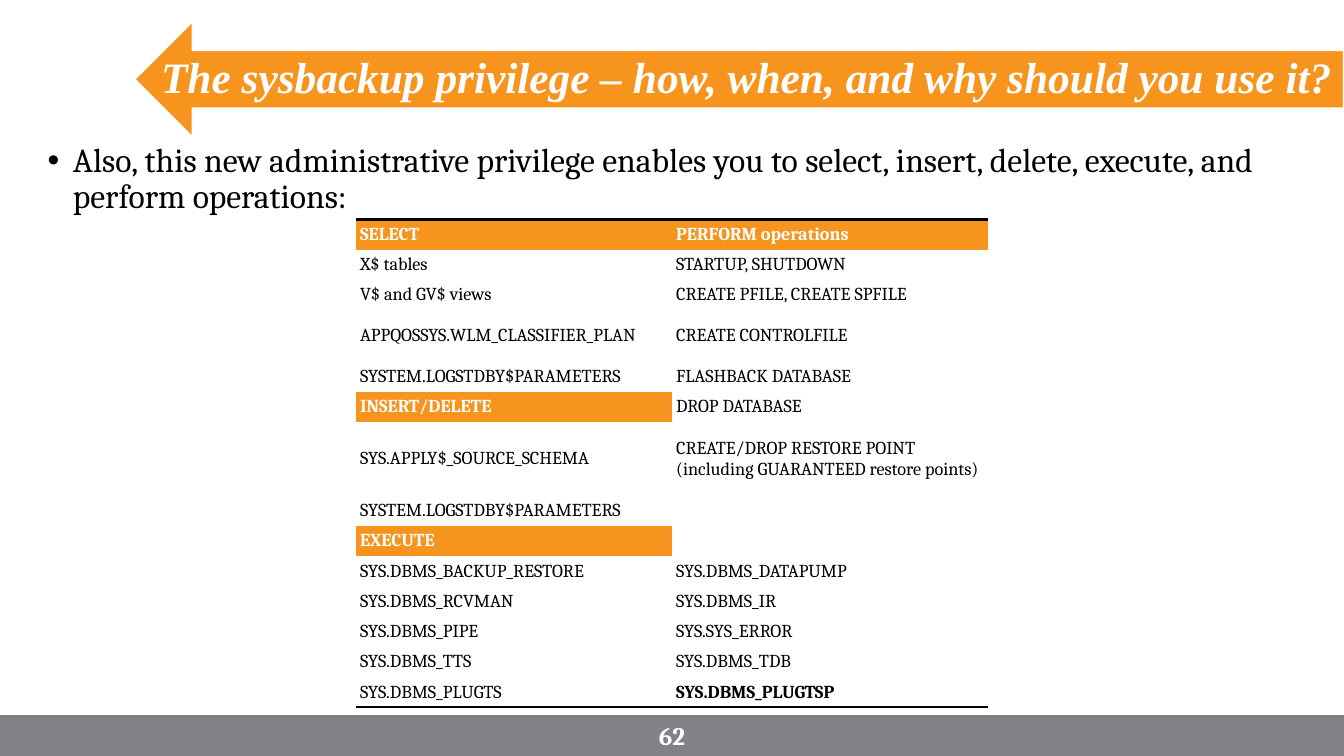
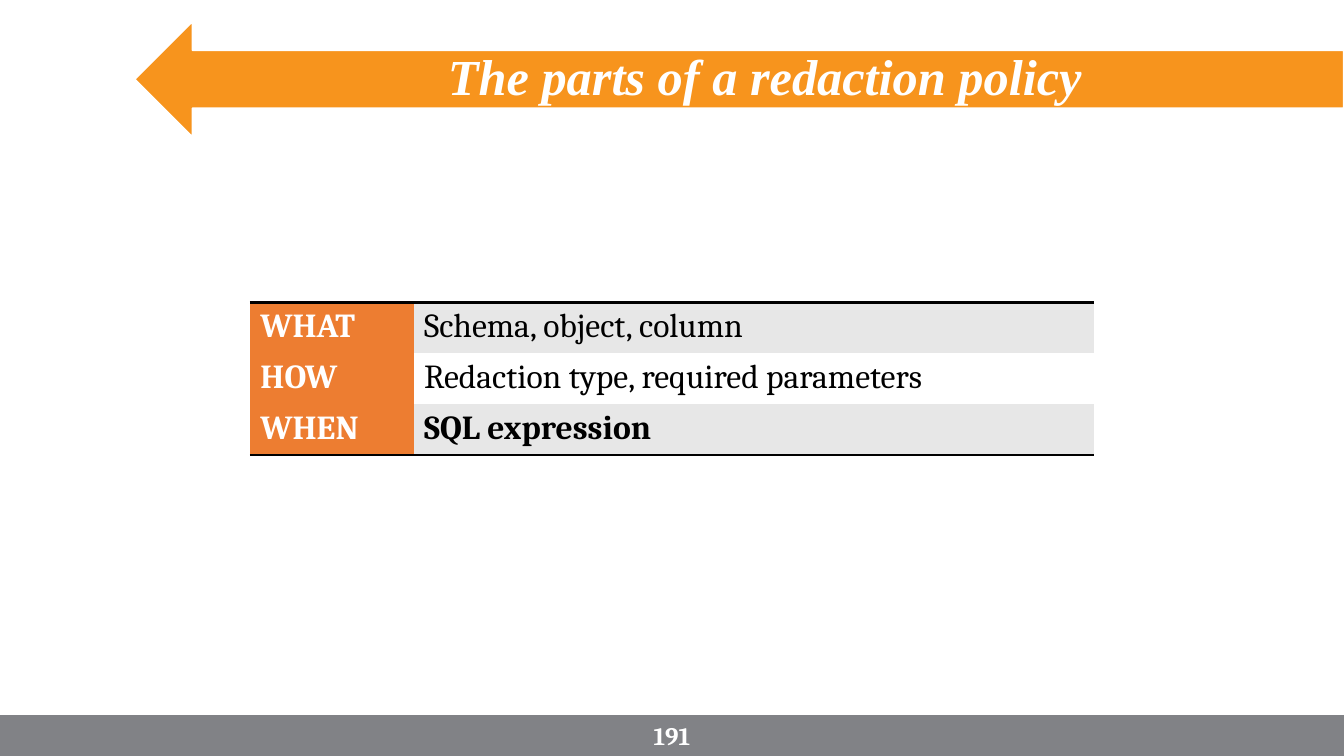
import dataclasses
import typing

import lxml.etree
import pptx
import pptx.dml.color
import pptx.enum.shapes
import pptx.enum.text
import pptx.oxml.ns
import pptx.util

SCALE = 9525  # EMU in one px, 96 px to the inch
WIDE, HIGH = 1280, 720
ORANGE, RUST, GRAY, PALE = "F7941D", "ED7D31", "818286", "E7E7E7"
WHITE, BLACK = "FFFFFF", "000000"
PLAIN_GRID = "{2D5ABB26-0587-4C30-8999-92F81FD0307C}"
KIND = pptx.enum.shapes.MSO_SHAPE
ALIGN = pptx.enum.text.PP_ALIGN
ANCHOR = pptx.enum.text.MSO_ANCHOR


@dataclasses.dataclass(frozen=True)
class Box:
    left: int
    top: int
    width: int
    height: int

    def emu(self) -> tuple[int, ...]:
        return tuple(px(n) for n in dataclasses.astuple(self))


@dataclasses.dataclass(frozen=True)
class Style:
    size: int
    color: str = WHITE
    bold: bool = True
    slant: bool = False
    font: str = "Cambria"


@dataclasses.dataclass(frozen=True)
class Cell:
    text: str
    fill: str = WHITE
    color: str = BLACK
    bold: bool = False


@dataclasses.dataclass(frozen=True)
class Grid:
    left: int
    top: int
    cols: tuple[int, ...]
    rows: tuple[int, ...]
    cells: list[tuple[Cell, Cell]]
    size: int
    pad: tuple[int, int]
    anchor: typing.Any


def px(count: int) -> int:
    return pptx.util.Emu(count * SCALE)


def rgb(code: str) -> pptx.dml.color.RGBColor:
    return pptx.dml.color.RGBColor.from_string(code)


def node(parent, tag: str, **attrs: str):
    return lxml.etree.SubElement(parent, pptx.oxml.ns.qn(tag), attrs)


def add_run(para, text: str, style: Style) -> None:
    run = para.add_run()
    run.text = text
    font = run.font
    font.name, font.size = style.font, pptx.util.Pt(style.size)
    font.bold, font.italic = style.bold, style.slant
    font.color.rgb = rgb(style.color)


def add_text(slide, box: Box, text: str, style: Style, anchor=ANCHOR.MIDDLE):
    """Add a wrapped text box and return its paragraph."""
    frame = slide.shapes.add_textbox(*box.emu()).text_frame
    frame.word_wrap = True
    frame.vertical_anchor = anchor
    para = frame.paragraphs[0]
    para.alignment = ALIGN.CENTER
    add_run(para, text, style)
    return para


def add_band(slide, kind, box: Box, fill: str, edge: str | None = None) -> None:
    shape = slide.shapes.add_shape(kind, *box.emu())
    shape.shadow.inherit = False
    shape.fill.solid()
    shape.fill.fore_color.rgb = rgb(fill)
    if edge:
        shape.line.color.rgb = rgb(edge)
        shape.line.width = pptx.util.Pt(1.5)
    else:
        shape.line.fill.background()


def add_slide(deck, title: str, size: int, left: int, page: str):
    """Add a slide with the arrow, title, footer band and page number."""
    slide = deck.slides.add_slide(deck.slide_layouts[6])
    add_band(slide, KIND.LEFT_ARROW, Box(128, 20, 1152, 111), ORANGE, WHITE)
    add_band(slide, KIND.RECTANGLE, Box(0, 681, WIDE, 39), GRAY)
    style = Style(size, slant=True, font="Times New Roman")
    para = add_text(slide, Box(left, 41, 1139, 69), title, style)
    para.line_spacing = 0.9
    add_text(slide, Box(604, 681, 72, 38), page, Style(18))
    return slide


def add_point(slide, text: str) -> None:
    """Add the bulleted body text."""
    box = Box(36, 132, 1208, 457)
    para = add_text(slide, box, text, Style(24, BLACK, False), ANCHOR.TOP)
    para.alignment = ALIGN.LEFT
    para.line_spacing = 0.9
    props = para._p.get_or_add_pPr()
    props.set("marL", str(px(24)))
    props.set("indent", str(-px(24)))
    node(props, "a:buFont", typeface="Arial")
    node(props, "a:buChar", char="•")


def add_rule(cell, tag: str) -> None:
    """Draw a black rule on one side of a cell."""
    props = cell._tc.get_or_add_tcPr()
    line = node(props, tag, w=str(pptx.util.Pt(2)))
    node(node(line, "a:solidFill"), "a:srgbClr", val=BLACK)
    props.insert(0, line)


def fill_cell(cell, data: Cell, grid: Grid) -> None:
    cell.fill.solid()
    cell.fill.fore_color.rgb = rgb(data.fill)
    cell.vertical_anchor = grid.anchor
    side, edge = (px(n) for n in grid.pad)
    cell.margin_left = cell.margin_right = side
    cell.margin_top = cell.margin_bottom = edge
    para = cell.text_frame.paragraphs[0]
    if data.text:
        add_run(para, data.text, Style(grid.size, data.color, data.bold))
    else:
        node(para._p, "a:endParaRPr", sz=str(grid.size * 100))


def add_grid(slide, grid: Grid) -> None:
    box = Box(grid.left, grid.top, sum(grid.cols), sum(grid.rows))
    count = len(grid.rows)
    table = slide.shapes.add_table(count, len(grid.cols), *box.emu()).table
    table.first_row = table.horz_banding = False
    table._tbl.tblPr.find(pptx.oxml.ns.qn("a:tableStyleId")).text = PLAIN_GRID
    for col, width in zip(table.columns, grid.cols):
        col.width = px(width)
    for row, height, line in zip(table.rows, grid.rows, grid.cells):
        row.height = px(height)
        for cell, data in zip(row.cells, line):
            fill_cell(cell, data, grid)
    for col in range(len(grid.cols)):
        add_rule(table.cell(0, col), "a:lnT")
        add_rule(table.cell(count - 1, col), "a:lnB")


def head(text: str, fill: str = ORANGE) -> Cell:
    return Cell(text, fill, WHITE, True)


RIGHTS = [
    (head("SELECT"), head("PERFORM operations")),
    (Cell("X$ tables"), Cell("STARTUP, SHUTDOWN")),
    (Cell("V$ and GV$ views"), Cell("CREATE PFILE, CREATE SPFILE")),
    (Cell("APPQOSSYS.WLM_CLASSIFIER_PLAN"), Cell("CREATE CONTROLFILE")),
    (Cell("SYSTEM.LOGSTDBY$PARAMETERS"), Cell("FLASHBACK DATABASE")),
    (head("INSERT/DELETE"), Cell("DROP DATABASE")),
    (Cell("SYS.APPLY$_SOURCE_SCHEMA"),
     Cell("CREATE/DROP RESTORE POINT (including GUARANTEED restore points)")),
    (Cell("SYSTEM.LOGSTDBY$PARAMETERS"), Cell("")),
    (head("EXECUTE"), Cell("")),
    (Cell("SYS.DBMS_BACKUP_RESTORE"), Cell("SYS.DBMS_DATAPUMP")),
    (Cell("SYS.DBMS_RCVMAN"), Cell("SYS.DBMS_IR")),
    (Cell("SYS.DBMS_PIPE"), Cell("SYS.SYS_ERROR")),
    (Cell("SYS.DBMS_TTS"), Cell("SYS.DBMS_TDB")),
    (Cell("SYS.DBMS_PLUGTS"), Cell("SYS.DBMS_PLUGTSP", bold=True)),
]
PARTS = [
    (head("WHAT", RUST), Cell("Schema, object, column", PALE)),
    (head("HOW", RUST), Cell("Redaction type, required parameters")),
    (head("WHEN", RUST), Cell("SQL expression", PALE, bold=True)),
]


def main() -> None:
    deck = pptx.Presentation()
    deck.slide_width, deck.slide_height = px(WIDE), px(HIGH)

    title = "The sysbackup privilege – how, when, and why should you use it?"
    slide = add_slide(deck, title, 31, 141, "62")
    add_point(slide, "Also, this new administrative privilege enables you to "
                     "select, insert, delete, execute, and perform operations:")
    tall = {3: 49, 6: 70}
    rows = tuple(tall.get(n, 28) for n in range(len(RIGHTS)))
    add_grid(slide, Grid(339, 209, (301, 301), rows, RIGHTS, 13, (4, 4),
                         ANCHOR.MIDDLE))

    slide = add_slide(deck, "The parts of a redaction policy", 36, 159, "191")
    rows = (47,) * len(PARTS)
    add_grid(slide, Grid(238, 288, (156, 648), rows, PARTS, 24, (10, 5),
                         ANCHOR.TOP))
    deck.save("out.pptx")


if __name__ == "__main__":
    main()
